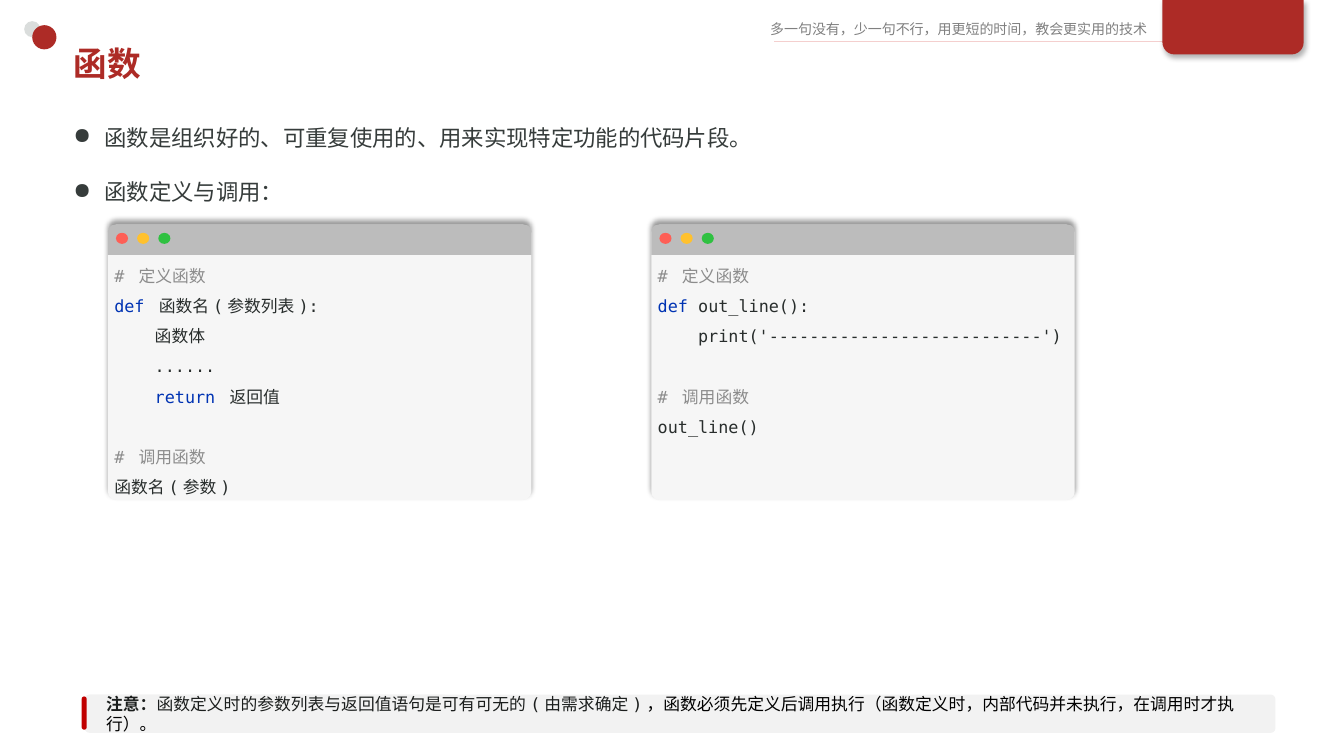
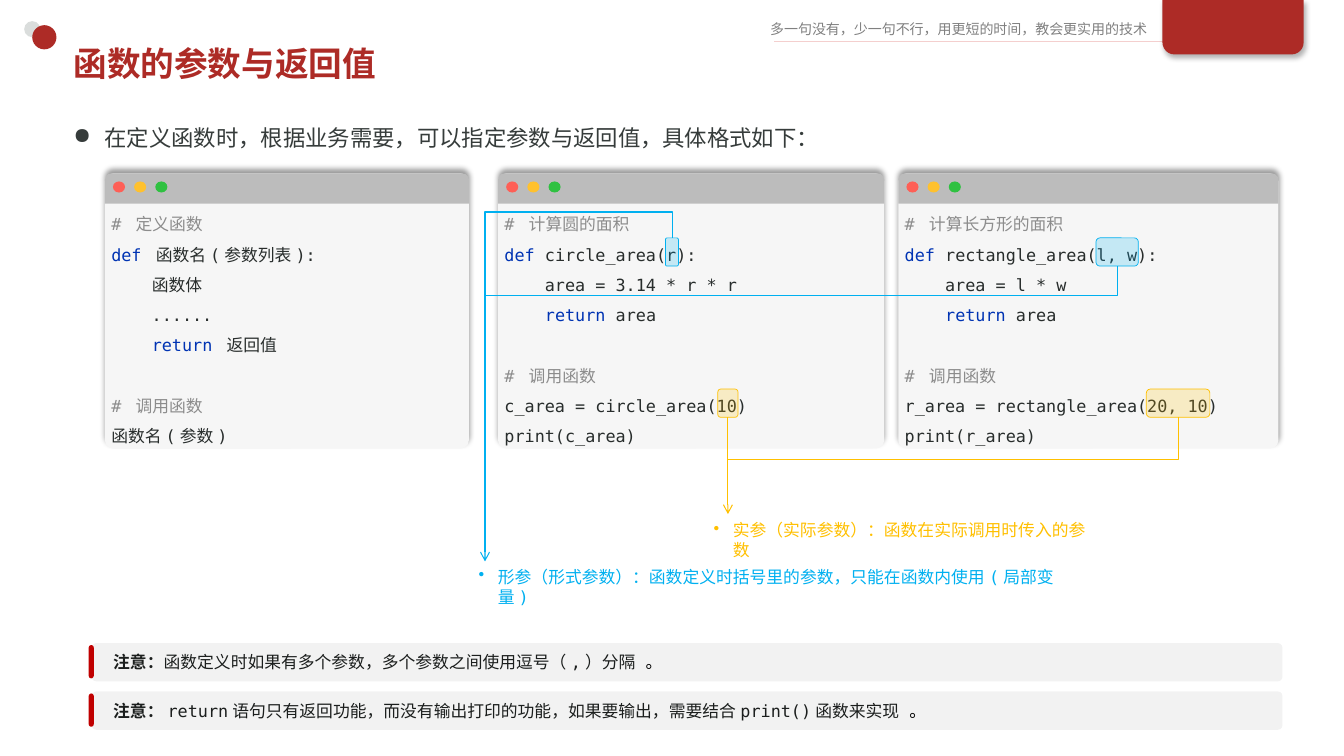
"""Build two slides that explain Python functions, parameters and return values."""
from lxml import etree
from pptx import Presentation
from pptx.dml.color import RGBColor
from pptx.enum.shapes import MSO_CONNECTOR, MSO_SHAPE
from pptx.enum.text import MSO_ANCHOR
from pptx.oxml.ns import qn
from pptx.util import Inches, Pt

ELLIPSE = MSO_SHAPE.OVAL
ROUNDED = MSO_SHAPE.ROUNDED_RECTANGLE
ROUNDED_PAIR = MSO_SHAPE.ROUND_2_SAME_RECTANGLE
STRAIGHT = MSO_CONNECTOR.STRAIGHT
ELBOW = MSO_CONNECTOR.ELBOW
TOP, MIDDLE = MSO_ANCHOR.TOP, MSO_ANCHOR.MIDDLE
BOTTOM_SIDE = 2

MONO = "DejaVu Sans Mono"
SANS = "Noto Sans CJK SC"
COLORS = {
    "brand": "AD2B26", "brand_light": "F4CFCE", "dot_gray": "DADDDC",
    "slogan": "808080", "body": "363C3B", "note": "1B1E1D", "black": "000000",
    "note_bar": "C00000", "window": "F6F6F6", "window_bar": "BCBCBC",
    "close": "FE5F56", "minimize": "FFC12E", "zoom": "2FC141",
    "comment": "8C8C8C", "keyword": "0033B3", "code": "282D2C",
    "formal": "00B0F0", "actual": "FFC000",
}
SLOGAN = "多一句没有，少一句不行，用更短的时间，教会更实用的技术"
KEYWORDS = ("def", "return")
DEFAULT_MARGINS = (0.1, 0.05, 0.1, 0.05)
TEMPLATE_CODE = [
    "# 定义函数", "def 函数名(参数列表):", "    函数体", "    ......",
    "    return 返回值", "", "# 调用函数", "函数名(参数)",
]
LINE_CODE = [
    "# 定义函数", "def out_line():", "    print('---------------------------')",
    "", "# 调用函数", "out_line()",
]
CIRCLE_CODE = [
    "# 计算圆的面积", "def circle_area(r):", "    area = 3.14 * r * r",
    "    return area", "", "# 调用函数", "c_area = circle_area(10)", "print(c_area)",
]
RECTANGLE_CODE = [
    "# 计算长方形的面积", "def rectangle_area(l, w):", "    area = l * w",
    "    return area", "", "# 调用函数", "r_area = rectangle_area(20, 10)",
    "print(r_area)",
]


def rgb(color):
    """Return the RGB value of a named colour."""
    return RGBColor.from_string(COLORS[color])


def add_element(parent, tag, **attributes):
    """Append a drawing element with attributes and return it."""
    element = etree.SubElement(parent, qn(tag))
    for name, value in attributes.items():
        element.set(name, str(value))
    return element


def highlight(line):
    """Split a code line into coloured parts."""
    if line.startswith("#"):
        return [(line, "comment", False)]
    code = line.lstrip()
    indent = line[:len(line) - len(code)]
    word = code.split(" ")[0]
    if word not in KEYWORDS:
        return [(line, "code", False)]
    parts = [(indent, "code", False), (word, "keyword", False),
             (code[len(word):], "code", False)]
    return [part for part in parts if part[0]]


class Deck:
    """Hold the shared style and the current slide."""

    def __init__(self):
        """Start a widescreen presentation."""
        self.presentation = Presentation()
        self.presentation.slide_width = Inches(13.33)
        self.presentation.slide_height = Inches(7.5)
        self.slide = None

    def shape(self, kind, box, fill, adjustments=(), alpha=None, outline=None):
        """Add a filled preset shape."""
        shape = self.slide.shapes.add_shape(kind, *map(Inches, box))
        shape.shadow.inherit = False
        for index, value in enumerate(adjustments):
            shape.adjustments[index] = value
        shape.fill.solid()
        shape.fill.fore_color.rgb = rgb(fill)
        if alpha is not None:
            color = shape.fill._xPr.find(".//" + qn("a:srgbClr"))
            add_element(color, "a:alpha", val=alpha * 1000)
        if outline:
            shape.line.color.rgb = rgb(fill)
            shape.line.width = Pt(outline)
        else:
            shape.line.fill.background()
        return shape

    def shadow(self, shape, alpha, direction):
        """Give a shape a soft outer shadow."""
        effects = shape._element.spPr.find(qn("a:effectLst"))
        outer = add_element(effects, "a:outerShdw", blurRad=Pt(4), dist=Pt(3),
                            dir=direction * 60000, algn="ctr", rotWithShape=0)
        color = add_element(outer, "a:srgbClr", val=COLORS["black"])
        add_element(color, "a:alpha", val=alpha * 1000)

    def text(self, shape, paragraphs, size, font=MONO, anchor=TOP,
             margins=DEFAULT_MARGINS, spacing=None, before=0, bullet=None, indent=0):
        """Fill a shape with paragraphs of (text, colour, bold) parts."""
        frame = shape.text_frame
        left, top, right, bottom = map(Inches, margins)
        frame_format = {
            "word_wrap": True, "vertical_anchor": anchor, "margin_left": left,
            "margin_top": top, "margin_right": right, "margin_bottom": bottom,
        }
        for name, value in frame_format.items():
            setattr(frame, name, value)
        for index, parts in enumerate(paragraphs):
            paragraph = frame.add_paragraph() if index else frame.paragraphs[0]
            properties = paragraph._p.get_or_add_pPr()
            properties.set("algn", "l")
            if bullet:
                properties.set("marL", str(Inches(indent)))
                properties.set("indent", str(-Inches(indent)))
                add_element(properties, "a:buChar", char=bullet)
            if spacing:
                paragraph.line_spacing = spacing
            if index and before:
                paragraph.space_before = Pt(before)
            for content, color, bold in parts:
                run = paragraph.add_run()
                run.text = content
                run_format = {"size": Pt(size), "name": font, "bold": bold}
                for name, value in run_format.items():
                    setattr(run.font, name, value)
                run.font.color.rgb = rgb(color)
                add_element(run._r.get_or_add_rPr(), "a:ea", typeface=font)
            if not parts:
                end = add_element(paragraph._p, "a:endParaRPr", sz=size * 100)
                for tag in ("a:latin", "a:ea"):
                    add_element(end, tag, typeface=font)

    def text_box(self, box, lines, color, size, bold=False, **layout):
        """Add a text box with one colour."""
        shape = self.slide.shapes.add_textbox(*map(Inches, box))
        self.text(shape, [[(line, color, bold)] for line in lines], size, **layout)

    def connector(self, kind, start, end, color, width, arrow=False):
        """Add a line with an optional arrowhead."""
        connector = self.slide.shapes.add_connector(kind, *map(Inches, start + end))
        connector.line.color.rgb = rgb(color)
        connector.line.width = Pt(width)
        if arrow:
            add_element(connector.line._get_or_add_ln(), "a:tailEnd", type="arrow")
        add_element(connector._element.spPr, "a:effectLst")
        return connector

    def elbow(self, start, end, color, bend=None, arrow=False):
        """Add a bent line that leaves vertically, then runs down and left."""
        connector = self.connector(ELBOW, start, end, color, 0.75, arrow)
        width, height = end[1] - start[1], start[0] - end[0]
        geometry = {
            "left": (start[0] + end[0] - width) / 2,
            "top": (start[1] + end[1] - height) / 2,
            "width": width, "height": height,
        }
        for name, value in geometry.items():
            setattr(connector, name, Inches(value))
        properties = connector._element.spPr
        transform = properties.find(qn("a:xfrm"))
        transform.attrib.pop("flipH", None)
        transform.set("rot", str(90 * 60000))
        preset = properties.find(qn("a:prstGeom"))
        preset.set("prst", "bentConnector2" if bend is None else "bentConnector3")
        if bend is not None:
            guides = preset.find(qn("a:avLst"))
            add_element(guides, "a:gd", name="adj1", fmla=f"val {round(bend * 100000)}")

    def start_slide(self, title, points):
        """Add a slide with header, title and bullet points."""
        self.slide = self.presentation.slides.add_slide(self.presentation.slide_layouts[6])
        self.text_box((7.54, 0.15, 4.21, 0.27), [SLOGAN], "slogan", 10, font=SANS)
        self.connector(STRAIGHT, (7.68, 0.41), (11.63, 0.41), "brand_light", 1)
        tab = self.shape(ROUNDED_PAIR, (11.53, 0, 1.4, 0.54), "brand", (0, 0.22))
        self.shadow(tab, 30, 60)
        self.shape(ELLIPSE, (0.24, 0.21, 0.16, 0.16), "dot_gray")
        self.shape(ELLIPSE, (0.32, 0.25, 0.24, 0.24), "brand")
        self.text_box((0.63, 1.05, 12.1, 0.52 * len(points)), points, "body", 16,
                      spacing=1.5, before=10, bullet="●", indent=0.31)
        self.text_box((0.63, 0.37, 11.75, 0.52), [title], "brand", 24, bold=True,
                      anchor=MIDDLE)

    def code_window(self, left, top, width, lines):
        """Add a code window with a title bar and three buttons."""
        window = self.shape(ROUNDED, (left, top, width, 2.73), "window", (0.03,))
        self.shadow(window, 40, 270)
        self.text(window, map(highlight, lines), 12, spacing=1.5,
                  margins=(0.04, 0.28, 0.04, 0))
        self.shape(ROUNDED_PAIR, (left, top, width, 0.3), "window_bar", (0.22, 0))
        for index, color in enumerate(("close", "minimize", "zoom")):
            self.shape(ELLIPSE, (left + 0.08 + 0.21 * index, top + 0.08, 0.12, 0.11), color)

    def note(self, left, top, content, ending):
        """Add a pale note band with a red bar."""
        band = self.shape(ROUNDED, (left, top, 11.81, 0.38), "black", (0.12,), alpha=5)
        parts = [("注意：", "note", True), (content, "note", False), (ending, "black", False)]
        self.text(band, [parts], 12, anchor=MIDDLE, margins=(0.2, 0.05, 0.2, 0.05))
        self.shape(ROUNDED, (left - 0.03, top + 0.02, 0.05, 0.33), "note_bar", (0.5,))

    def mark(self, left, top, width, color):
        """Add a translucent highlight over code."""
        return self.shape(ROUNDED, (left, top, width, 0.28), color, (0.14,),
                          alpha=20, outline=0.5)

    def callout(self, left, top, width, content, color):
        """Add a bulleted explanation."""
        self.text_box((left, top, width, 0.3), [content], color, 12, bullet="•", indent=0.19)


def main():
    """Build and save both slides."""
    deck = Deck()
    deck.start_slide("函数", ["函数是组织好的、可重复使用的、用来实现特定功能的代码片段。",
                            "函数定义与调用："])
    for left, lines in ((1.07, TEMPLATE_CODE), (6.46, LINE_CODE)):
        deck.code_window(left, 2.23, 4.2, lines)
    deck.note(0.84, 6.89, "函数定义时的参数列表与返回值语句是可有可无的(由需求确定)",
              "，函数必须先定义后调用执行（函数定义时，内部代码并未执行，在调用时才执行）。")

    deck.start_slide("函数的参数与返回值",
                     ["在定义函数时，根据业务需要，可以指定参数与返回值，具体格式如下："])
    for left, width, lines in ((1.04, 3.61, TEMPLATE_CODE), (4.94, 3.83, CIRCLE_CODE),
                               (8.91, 3.77, RECTANGLE_CODE)):
        deck.code_window(left, 1.72, width, lines)
    deck.note(0.91, 6.38, "函数定义时如果有多个参数，多个参数之间使用逗号（,）分隔 ", "。")
    deck.note(0.91, 6.86, "return语句只有返回功能，而没有输出打印的功能，"
              "如果要输出，需要结合print()函数来实现 ", "。")
    deck.mark(6.6, 2.36, 0.13, "formal")
    deck.mark(10.87, 2.36, 0.42, "formal")
    deck.mark(11.37, 3.86, 0.63, "actual")
    circle_argument = deck.mark(7.12, 3.86, 0.2, "actual")
    deck.elbow((6.67, 2.36), (4.81, 5.57), "formal", bend=-0.08, arrow=True)
    deck.elbow((11.08, 2.64), (4.81, 2.93), "formal")
    deck.callout(4.65, 5.57, 6.03,
                 "形参（形式参数）：函数定义时括号里的参数，只能在函数内使用(局部变量)", "formal")
    arrow = deck.connector(STRAIGHT, (7.22, 4.14), (7.22, 5.1), "actual", 0.75, arrow=True)
    arrow.begin_connect(circle_argument, BOTTOM_SIDE)
    deck.elbow((11.69, 4.14), (7.22, 4.56), "actual")
    deck.callout(6.98, 5.11, 4.02, "实参（实际参数）：函数在实际调用时传入的参数", "actual")
    deck.presentation.save("out.pptx")


if __name__ == "__main__":
    main()
